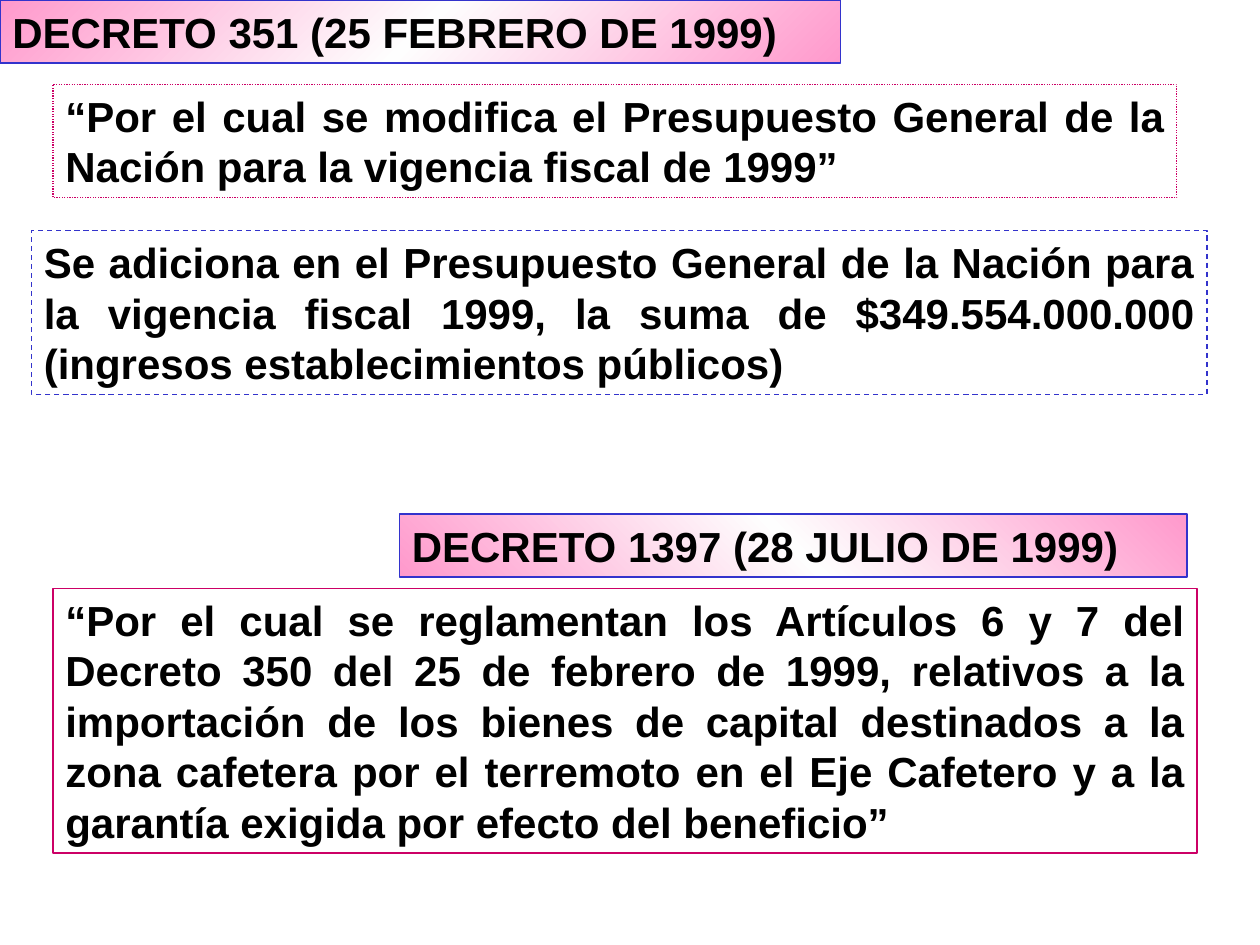
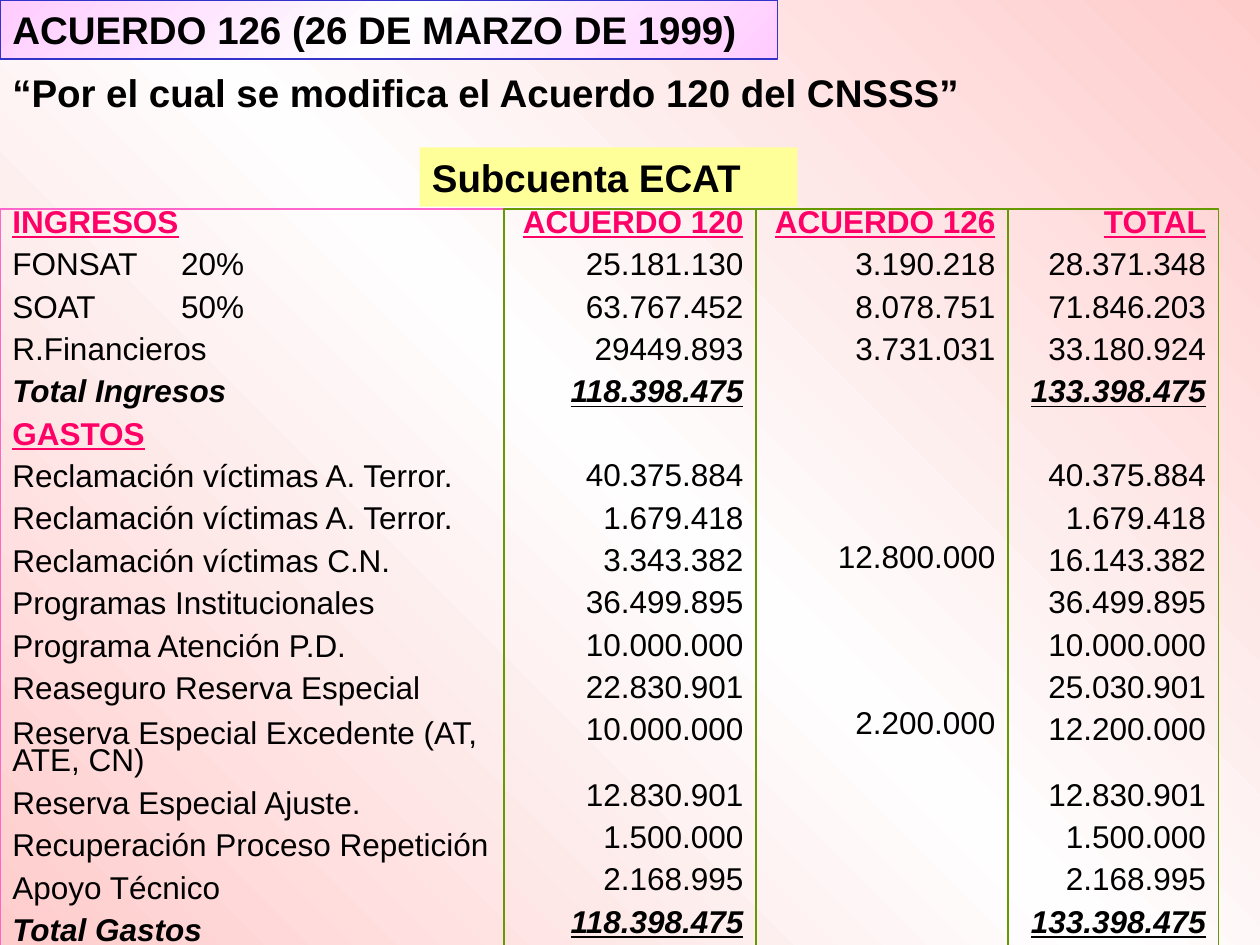
from copy import deepcopy
from dataclasses import dataclass
from typing import Optional

from pptx import Presentation
from pptx.dml.color import RGBColor
from pptx.enum.dml import MSO_LINE
from pptx.enum.shapes import MSO_SHAPE
from pptx.enum.text import MSO_ANCHOR, MSO_AUTO_SIZE, PP_ALIGN
from pptx.oxml.ns import qn
from pptx.oxml.xmlchemy import OxmlElement
from pptx.util import Inches, Pt

FONT = "Arial"
BLACK, BLUE, MAGENTA, GREEN = "000000", "3333CC", "CC0066", "669900"
PINK, LILAC, ROSE, WHITE = "FF99CC", "FFCCFF", "FFCCCC", "FEFEFE"
YELLOW, ORCHID, HEADING = "FFFF99", "FF66CC", "FF0066"

# Vertical rhythm of the budget columns, in points
ROW_GAP = 11.25
ROW_PITCH = 23.65
WRAP_GAP = 13.1


@dataclass
class Panel:
    left: float
    top: float
    width: float
    height: float
    text: str = ""
    size: int = 24
    line: Optional[str] = None
    dash: Optional[MSO_LINE] = None
    fill: Optional[str] = None
    angle: Optional[int] = None
    align: PP_ALIGN = PP_ALIGN.LEFT


@dataclass
class Style:
    color: str = BLACK
    bold: bool = False
    italic: bool = False
    underline: bool = False


@dataclass
class Row:
    cells: tuple
    kind: str = "item"
    wraps: bool = False


@dataclass
class Column:
    left: float
    width: float
    height: float
    line: str
    align: PP_ALIGN = PP_ALIGN.RIGHT


STYLES = {
    "item": Style(),
    "heading": Style(HEADING, bold=True, underline=True),
    "total": Style(bold=True, italic=True, underline=True),
    "total label": Style(bold=True, italic=True),
}

DECREE_PANELS = [
    Panel(0, 0, 6.67, 0.5, "DECRETO 351 (25 FEBRERO DE 1999)",
          line=BLUE, fill=PINK, angle=225),
    Panel(0.42, 0.67, 8.92, 0.9,
          "“Por el cual se modifica el Presupuesto General de la Nación para la "
          "vigencia fiscal de 1999”",
          line=MAGENTA, dash=MSO_LINE.ROUND_DOT, align=PP_ALIGN.JUSTIFY),
    Panel(0.25, 1.83, 9.33, 1.3,
          "Se adiciona en el Presupuesto General de la Nación para la vigencia "
          "fiscal 1999, la suma de $349.554.000.000 (ingresos establecimientos "
          "públicos)",
          line=BLUE, dash=MSO_LINE.DASH, align=PP_ALIGN.JUSTIFY),
    Panel(3.17, 4.08, 6.25, 0.5, "DECRETO 1397 (28 JULIO DE 1999)",
          line=BLUE, fill=PINK, angle=135),
    Panel(0.42, 4.67, 9.08, 2.1,
          "“Por el cual se reglamentan los Artículos 6 y 7 del Decreto 350 del 25 "
          "de febrero de 1999, relativos a la importación de los bienes de capital "
          "destinados a la zona cafetera por el terremoto en el Eje Cafetero y a "
          "la garantía exigida por efecto del beneficio”",
          line=MAGENTA, align=PP_ALIGN.JUSTIFY),
]

AGREEMENT_PANELS = [
    Panel(0, 0, 6.17, 0.47, "ACUERDO 126 (26 DE MARZO DE 1999)", 22,
          line=BLUE, fill=LILAC, angle=225),
    Panel(0, 0.5, 9.67, 0.47,
          "“Por el cual se modifica el Acuerdo 120 del CNSSS”", 22),
    Panel(3.33, 1.17, 3, 0.47, "Subcuenta ECAT", 22, fill=YELLOW),
]

BUDGET_TOP = 1.66
BUDGET_COLUMNS = [
    Column(0, 4, 5.9, ORCHID, PP_ALIGN.LEFT),
    Column(4, 2, 5.85, GREEN),
    Column(6, 2, 5.85, GREEN),
    Column(8, 1.67, 5.85, GREEN),
]
BUDGET_ROWS = [
    Row(("INGRESOS", "ACUERDO 120", "ACUERDO 126", "TOTAL"), "heading"),
    Row(("FONSAT\t20%", "25.181.130", "3.190.218", "28.371.348")),
    Row(("SOAT\t50%", "63.767.452", "8.078.751", "71.846.203")),
    Row(("R.Financieros", "29449.893", "3.731.031", "33.180.924")),
    Row(("Total Ingresos", "118.398.475", "", "133.398.475"), "total"),
    Row(("GASTOS", "", "", ""), "heading"),
    Row(("Reclamación víctimas A. Terror.", "40.375.884", "", "40.375.884")),
    Row(("Reclamación víctimas A. Terror.", "1.679.418", "", "1.679.418")),
    Row(("Reclamación víctimas C.N.", "3.343.382", "12.800.000", "16.143.382")),
    Row(("Programas Institucionales", "36.499.895", "", "36.499.895")),
    Row(("Programa Atención P.D.", "10.000.000", "", "10.000.000")),
    Row(("Reaseguro Reserva Especial", "22.830.901", "", "25.030.901")),
    Row(("Reserva Especial Excedente (AT, ATE, CN)", "10.000.000", "2.200.000",
         "12.200.000"), wraps=True),
    Row(("Reserva Especial Ajuste.", "12.830.901", "", "12.830.901")),
    Row(("Recuperación Proceso Repetición", "1.500.000", "", "1.500.000")),
    Row(("Apoyo Técnico", "2.168.995", "", "2.168.995")),
    Row(("Total Gastos", "118.398.475", "", "133.398.475"), "total"),
]


def rgb(color: str) -> RGBColor:
    return RGBColor.from_string(color)


def set_gradient(fill, element, edge: str, angle: int) -> None:
    """Fade from the edge colour to white and back; angle is clockwise."""
    fill.gradient()
    fill.gradient_angle = 360 - angle
    stop_list = next(element.iter(qn("a:gsLst")))
    stop_list.insert(1, deepcopy(stop_list[0]))
    for stop, color, position in zip(fill.gradient_stops, (edge, WHITE, edge), (0, 0.5, 1)):
        stop.color.rgb = rgb(color)
        stop.position = position


def add_span(para, text: str, size: int, style: Style) -> None:
    span = para.add_run()
    span.text = text
    font = span.font
    font.name, font.size = FONT, Pt(size)
    font.bold, font.italic, font.underline = style.bold, style.italic, style.underline
    font.color.rgb = rgb(style.color)


def add_box(page, panel: Panel):
    box = page.shapes.add_shape(
        MSO_SHAPE.RECTANGLE, Inches(panel.left), Inches(panel.top),
        Inches(panel.width), Inches(panel.height))
    box.shadow.inherit = False
    if panel.angle is not None:
        set_gradient(box.fill, box._element, panel.fill, panel.angle)
    elif panel.fill:
        box.fill.solid()
        box.fill.fore_color.rgb = rgb(panel.fill)
    else:
        box.fill.background()
    if panel.line:
        box.line.color.rgb = rgb(panel.line)
        box.line.width = Pt(0.75)
        if panel.dash:
            box.line.dash_style = panel.dash
    else:
        box.line.fill.background()
    box.text_frame.word_wrap = True
    box.text_frame.vertical_anchor = MSO_ANCHOR.TOP
    return box


def add_panel(page, panel: Panel) -> None:
    frame = add_box(page, panel).text_frame
    frame.auto_size = MSO_AUTO_SIZE.SHAPE_TO_FIT_TEXT
    para = frame.paragraphs[0]
    para.alignment = panel.align
    para.space_before = Pt(panel.size * 0.625)
    add_span(para, panel.text, panel.size, Style(bold=True))


def add_tab_stop(para, position: float) -> None:
    tab_list = OxmlElement("a:tabLst")
    tab = OxmlElement("a:tab")
    tab.set("pos", str(Inches(position)))
    tab.set("algn", "l")
    tab_list.append(tab)
    para._p.get_or_add_pPr().append(tab_list)


def add_budget_column(page, index: int, column: Column) -> None:
    box = add_box(page, Panel(column.left, BUDGET_TOP, column.width, column.height,
                              line=column.line))
    frame = box.text_frame
    is_label = index == 0
    gap = ROW_GAP
    for number, row in enumerate(BUDGET_ROWS):
        text = row.cells[index]
        if not text:
            gap += ROW_PITCH
            continue
        para = frame.paragraphs[0] if number == 0 else frame.add_paragraph()
        para.alignment = column.align
        para.line_spacing = 0.7 if is_label and row.wraps else 0.6
        para.space_before = Pt(gap)
        if "\t" in text:
            add_tab_stop(para, 1.34)
        kind = "total label" if is_label and row.kind == "total" else row.kind
        add_span(para, text, 18, STYLES[kind])
        # Figures skip the second line of a wrapped label
        gap = ROW_GAP + (WRAP_GAP if row.wraps and not is_label else 0)


def main() -> None:
    deck = Presentation()
    deck.slide_width, deck.slide_height = Inches(10), Inches(7.5)
    blank = deck.slide_layouts[6]

    # Decrees 351 and 1397
    page = deck.slides.add_slide(blank)
    for panel in DECREE_PANELS:
        add_panel(page, panel)

    # Agreement 126 and its budget
    page = deck.slides.add_slide(blank)
    set_gradient(page.background.fill, page._element, ROSE, 135)
    for panel in AGREEMENT_PANELS:
        add_panel(page, panel)
    for index, column in enumerate(BUDGET_COLUMNS):
        add_budget_column(page, index, column)

    deck.save("out.pptx")


if __name__ == "__main__":
    main()
